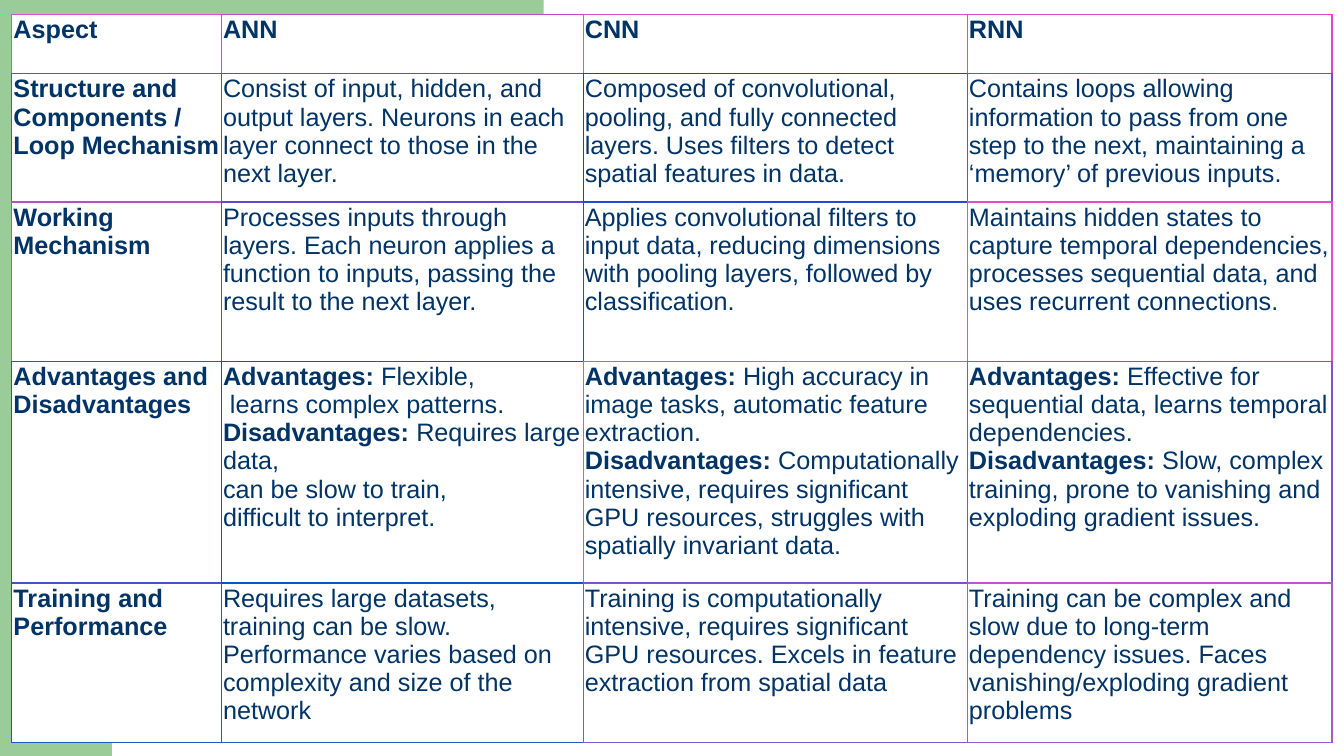
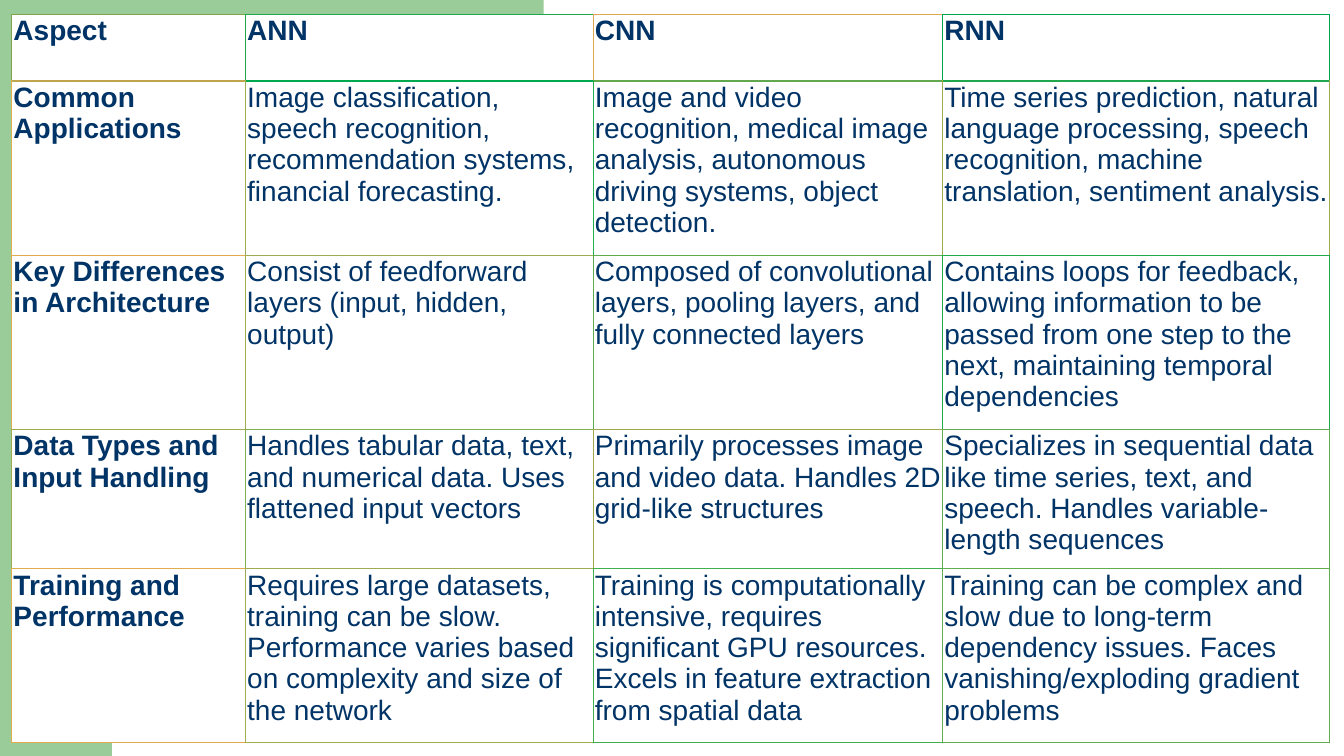
from pptx import Presentation
from pptx.dml.color import RGBColor
from pptx.oxml.ns import qn
from pptx.util import Cm, Pt
from pptx.enum.shapes import MSO_SHAPE
from lxml.etree import SubElement

COLORS = {"band": "99CC99", "text": "003366", "cell": "FFFFFF"}
FONT = "Arial"
BORDER = Pt(1)
MARGINS = {"margin_left": Cm(0.04), "margin_right": Cm(0.04),
           "margin_top": Cm(0.03), "margin_bottom": Cm(0.03)}
TAB_POINTS = [(11.86, 0), (11.86, 2.11), (3.94, 2.13), (3.51, 2.16), (3.15, 2.34),
              (2.9, 2.64), (2.82, 2.95), (2.82, 3.25), (0, 3.25)]

HEADER = ["Aspect", "ANN", "CNN", "RNN"]
TRAINING = [
    "Training and Performance",
    "Requires large datasets, training can be slow. Performance varies based on "
    "complexity and size of the network",
    "Training is computationally intensive, requires significant GPU resources. "
    "Excels in feature extraction from spatial data",
    "Training can be complex and slow due to long-term dependency issues. "
    "Faces vanishing/exploding gradient problems",
]

# In cell text, ** switches bold and a line break starts a paragraph.
# "inks" holds border colours per cell; "tops" replaces the top edges of a row.
MECHANISMS = {
    "size": 18,
    "cols": [5.28, 9.12, 9.68, 9.19],
    "rows": [1.5, 3.23, 4.01, 5.59, 4.01],
    "inks": ["E04ECD C04CCD E04DCD E047CD", "604ECD 604CCD 004DCD 8047CD",
             "C04ACD 6048CD 204DCD E04ECD", "404CCD 204DCD E04ECD 8054CD",
             "2055CD 205BCD 8059CD A05BCD"],
    "tops": {4: "4056CD 0057CD 8050CD C055CD"},
    "cells": [
        HEADER,
        ["Structure and Components / Loop Mechanism",
         "Consist of input, hidden, and output layers. Neurons in each layer connect "
         "to those in the next layer.",
         "Composed of convolutional, pooling, and fully connected layers. Uses filters "
         "to detect spatial features in data.",
         "Contains loops allowing information to pass from one step to the next, "
         "maintaining a ‘memory’ of previous inputs."],
        ["Working Mechanism",
         "Processes inputs through layers. Each neuron applies a function to inputs, "
         "passing the result to the next layer.",
         "Applies convolutional filters to input data, reducing dimensions with pooling "
         "layers, followed by classification.",
         "Maintains hidden states to capture temporal dependencies, processes sequential "
         "data, and uses recurrent connections."],
        ["Advantages and Disadvantages",
         "**Advantages:** Flexible,\n learns complex patterns. **Disadvantages:** Requires "
         "large data,\ncan be slow to train,\ndifficult to interpret.",
         "**Advantages: **High accuracy in image tasks, automatic feature extraction.\n"
         "**Disadvantages: **Computationally intensive, requires significant GPU "
         "resources, struggles with spatially invariant data.",
         "**Advantages:** Effective for sequential data, learns temporal dependencies.\n"
         "**Disadvantages: **Slow, complex training, prone to vanishing and exploding "
         "gradient issues."],
        TRAINING,
    ],
}

APPLICATIONS = {
    "size": 20,
    "cols": [5.89, 8.76, 8.81, 9.75],
    "rows": [1.68, 4.39, 4.39, 3.51, 4.39],
    "inks": ["80A44E 20A84E E0A74E 00A64E", "E0AF4E A0AB4E 20B04E A0AD4E",
             "E0AB4E A0AB4E 60AB4E 20AA4E", "A0AA4E 80B14E A0A94E 60AC4E",
             "E0AC4E A0AC4E 40AF4E 60AE4E"],
    "tops": {1: "C0A54E 00A94E 60A74E 20A74E"},
    "cells": [
        HEADER,
        ["Common Applications",
         "Image classification, speech recognition, recommendation systems, financial "
         "forecasting.",
         "Image and video recognition, medical image analysis, autonomous driving "
         "systems, object detection.",
         "Time series prediction, natural language processing, speech recognition, "
         "machine translation, sentiment analysis."],
        ["Key Differences in Architecture",
         "Consist of feedforward layers (input, hidden, output)",
         "Composed of convolutional layers, pooling layers, and fully connected layers",
         "Contains loops for feedback, allowing information to be passed from one step "
         "to the next, maintaining temporal dependencies"],
        ["Data Types and Input Handling",
         "Handles tabular data, text, and numerical data. Uses flattened input vectors",
         "Primarily processes image and video data. Handles 2D grid-like structures",
         "Specializes in sequential data like time series, text, and speech. Handles "
         "variable-length sequences"],
        TRAINING,
    ],
}


def set_format(obj, values):
    for name, value in values.items():
        setattr(obj, name, value)


def paint(sp, color):
    sp.shadow.inherit = False
    sp.fill.solid()
    sp.fill.fore_color.rgb = RGBColor.from_string(color)
    sp.line.fill.background()


def add_side_band(s, height):
    """Green band down the left edge with a tab along the top."""
    paint(s.shapes.add_shape(MSO_SHAPE.RECTANGLE, 0, 0, Cm(2.82), height), COLORS["band"])
    builder = s.shapes.build_freeform(0, 0, scale=Cm(1))
    builder.add_line_segments(TAB_POINTS, close=True)
    paint(builder.convert_to_shape(Cm(1.7), 0), COLORS["band"])


def set_borders(cell, left, right, top, bottom):
    tc_pr = cell._tc.get_or_add_tcPr()
    for tag, color in (("a:lnL", left), ("a:lnR", right), ("a:lnT", top), ("a:lnB", bottom)):
        ln = SubElement(tc_pr, qn(tag), w=str(BORDER))
        SubElement(SubElement(ln, qn("a:solidFill")), qn("a:srgbClr"), val=color)


def write_cell(cell, text, size, bold):
    set_format(cell, MARGINS)
    cell.fill.solid()
    cell.fill.fore_color.rgb = RGBColor.from_string(COLORS["cell"])
    tf = cell.text_frame
    for i, line in enumerate(text.split("\n")):
        p = tf.paragraphs[0] if i == 0 else tf.add_paragraph()
        for j, part in enumerate(line.split("**")):
            if part:
                r = p.add_run()
                r.text = part
                set_format(r.font, {"name": FONT, "size": Pt(size), "bold": bold or j % 2 == 1})
                r.font.color.rgb = RGBColor.from_string(COLORS["text"])


def add_comparison(s, left, top, data):
    """Table with a bold first row and column and coloured cell edges."""
    cols, rows, cells = data["cols"], data["rows"], data["cells"]
    table = s.shapes.add_table(len(rows), len(cols), left, top,
                               Cm(sum(cols)), Cm(sum(rows))).table
    set_format(table, {"first_row": False, "horz_banding": False})
    for col, width in zip(table.columns, cols):
        col.width = Cm(width)
    for row, height in zip(table.rows, rows):
        row.height = Cm(height)

    inks = [line.split() for line in data["inks"]]
    tops = [data["tops"][i].split() if i in data["tops"] else ink
            for i, ink in enumerate(inks)]
    bottoms = tops[1:] + inks[-1:]
    for i, texts in enumerate(cells):
        rights = inks[i][1:] + inks[i][-1:]
        for j, text in enumerate(texts):
            cell = table.cell(i, j)
            set_borders(cell, inks[i][j], rights[j], tops[i][j], bottoms[i][j])
            write_cell(cell, text, data["size"], i == 0 or j == 0)


def main():
    prs = Presentation()
    set_format(prs, {"slide_width": Cm(33.87), "slide_height": Cm(19.05)})
    for data in (MECHANISMS, APPLICATIONS):
        s = prs.slides.add_slide(prs.slide_layouts[6])
        add_side_band(s, prs.slide_height)
        add_comparison(s, Cm(0.3), Cm(0.36), data)
    prs.save("out.pptx")


if __name__ == "__main__":
    main()
